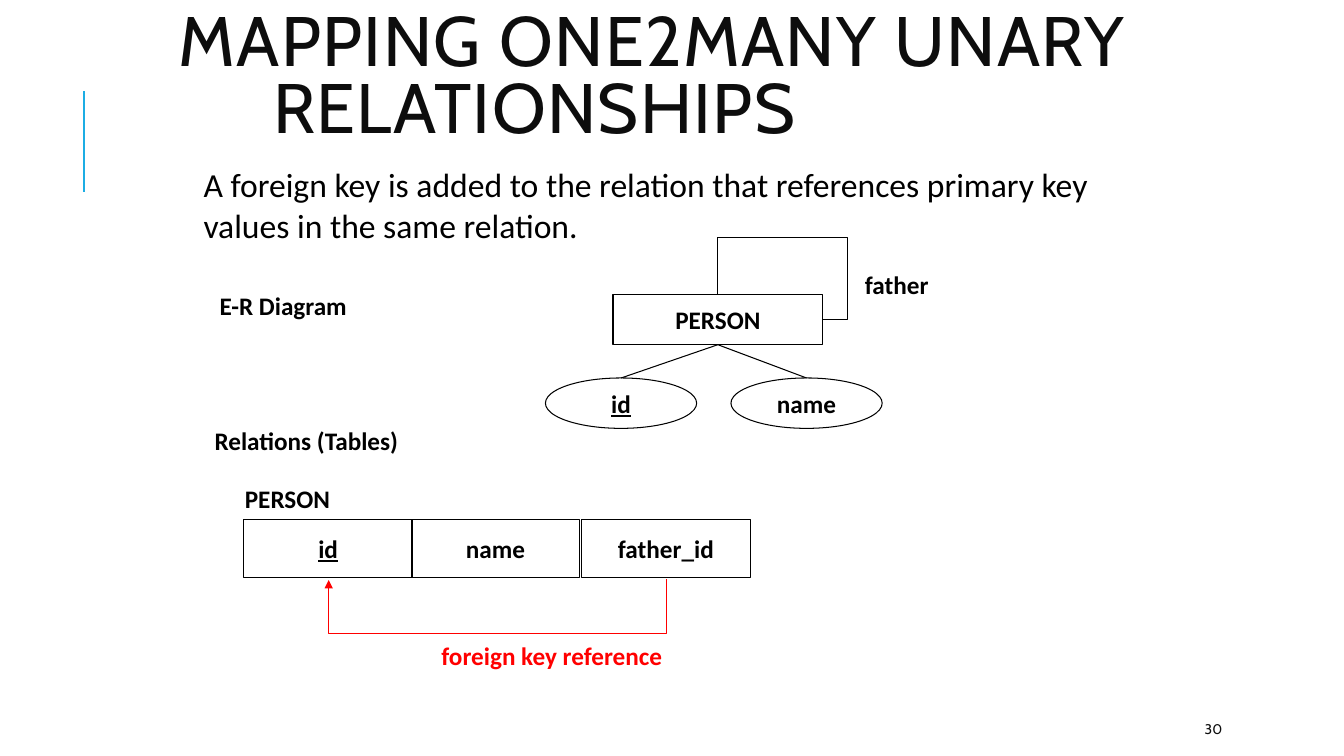
from lxml import etree
from pptx import Presentation
from pptx.dml.color import RGBColor
from pptx.enum import shapes, text
from pptx.oxml import ns
from pptx.util import Inches, Pt

COLORS = {"ink": "000000", "heading": "0D0D0D", "accent": "1CADE4", "reference": "FF0000"}


def rgb(name):
    return RGBColor.from_string(COLORS[name])


def add_run(paragraph, words, size=18, font="Calibri", color="ink", bold=False, underline=False):
    run = paragraph.add_run()
    run.text = words
    run.font.size = Pt(size)
    run.font.name = font
    run.font.color.rgb = rgb(color)
    run.font.bold = bold
    run.font.underline = underline
    return run


def add_label(slide, box, words, wrap=False, **style):
    frame = slide.shapes.add_textbox(*map(Inches, box)).text_frame
    frame.word_wrap = wrap
    frame.auto_size = text.MSO_AUTO_SIZE.SHAPE_TO_FIT_TEXT
    add_run(frame.paragraphs[0], words, **style)
    return frame


def add_node(slide, preset, box, words, underline=False):
    node = slide.shapes.add_shape(preset, *map(Inches, box))
    node.shadow.inherit = False
    node.fill.background()
    node.line.color.rgb = rgb("ink")
    node.line.width = Pt(0.75)
    frame = node.text_frame
    frame.word_wrap = False
    frame.vertical_anchor = text.MSO_ANCHOR.MIDDLE
    frame.paragraphs[0].alignment = text.PP_ALIGN.CENTER
    add_run(frame.paragraphs[0], words, bold=True, underline=underline)


def add_line(slide, start, end, color="ink", width=0.75, kind=shapes.MSO_CONNECTOR.STRAIGHT):
    line = slide.shapes.add_connector(kind, *map(Inches, (*start, *end)))
    line.line.color.rgb = rgb(color)
    line.line.width = Pt(width)
    etree.SubElement(line._element.spPr, ns.qn("a:effectLst"))
    return line


def add_elbow(slide, start, end, preset, bends, color="ink"):
    elbow = add_line(slide, start, end, color, kind=shapes.MSO_CONNECTOR.ELBOW)
    geometry = elbow._element.spPr.find(ns.qn("a:prstGeom"))
    geometry.set("prst", preset)
    guides = geometry.find(ns.qn("a:avLst"))
    for number, bend in enumerate(bends, 1):
        etree.SubElement(guides, ns.qn("a:gd"), name=f"adj{number}",
                         fmla=f"val {round(bend * 100000)}")
    return elbow


def build_heading(slide, box):
    left, top, width, height = box
    title = slide.shapes.title
    title.left, title.top, title.width, title.height = map(Inches, box)
    frame = title.text_frame
    frame.word_wrap = True
    frame.auto_size = text.MSO_AUTO_SIZE.NONE
    frame.vertical_anchor = text.MSO_ANCHOR.MIDDLE
    paragraph = frame.paragraphs[0]
    paragraph.alignment = text.PP_ALIGN.LEFT
    paragraph.line_spacing = 0.8
    paragraph.space_before = Pt(0)
    properties = paragraph._p.get_or_add_pPr()
    properties.set("marL", str(Inches(0.94)))
    properties.set("indent", str(-Inches(0.94)))
    run = add_run(paragraph, "MAPPING ONE2MANY UNARY RELATIONSHIPS", 50, "Cabin", "heading")
    run._r.get_or_add_rPr().set("spc", "100")
    add_line(slide, (left - 0.84, top + 1.73), (left - 0.84, top + 0.73), "accent", 1.5)
    add_label(slide, (left + 0.25, top + 1.41, 9.42, 0.91),
              "A foreign key is added to the relation that references primary key "
              "values in the same relation.", wrap=True, size=24)


def build_er_diagram(slide, box):
    left, top, width, height = box
    entity_width, entity_height = 2.08, 0.5
    entity_left, entity_top = left + 0.67, top + 0.57
    center = entity_left + entity_width / 2
    entity_bottom = entity_top + entity_height
    attribute_width, attribute_height = 1.5, 0.5
    attribute_top = top + height - attribute_height

    add_node(slide, shapes.MSO_SHAPE.RECTANGLE,
             (entity_left, entity_top, entity_width, entity_height), "PERSON")
    for words, attribute_left, is_key in (("id", left, True), ("name", left + 1.84, False)):
        add_node(slide, shapes.MSO_SHAPE.OVAL,
                 (attribute_left, attribute_top, attribute_width, attribute_height), words, is_key)
        add_line(slide, (center, entity_bottom),
                 (attribute_left + attribute_width / 2, attribute_top))
    add_elbow(slide, (entity_left + entity_width, entity_top + entity_height / 2),
              (center, entity_top), "bentConnector4", (-0.24, 3.25))
    add_label(slide, (left + 3.07, top + 0.27, 0.85, 0.4), "father", bold=True)


def build_relation(slide, box):
    left, top, width, height = box
    cell_width = 1.67
    columns = (("id", 0, True), ("name", 1.66, False), ("father_id", 3.35, False))
    add_label(slide, (left - 0.09, top - 0.4, 1.25, 0.4), "PERSON", bold=True)
    for words, offset, is_key in columns:
        add_node(slide, shapes.MSO_SHAPE.RECTANGLE,
                 (left + offset, top, cell_width, height), words, is_key)

    key_center = left + cell_width / 2
    foreign_center = left + columns[-1][1] + cell_width / 2
    middle = (key_center + foreign_center) / 2
    reach = (foreign_center - key_center) / 2
    level = top + height + 0.02
    reference = add_elbow(slide, (middle, level - reach), (middle + 0.01, level + reach),
                          "bentConnector3", (54.83,), "reference")
    reference.rotation = 90
    etree.SubElement(reference.line._get_or_add_ln(), ns.qn("a:tailEnd"), type="triangle")
    add_label(slide, (left + 1.86, top + 1.15, 2.47, 0.4), "foreign key reference",
              color="reference", bold=True)


def build_page_number(slide, box):
    frame = add_label(slide, box, "30", wrap=True, size=10, font="Cabin", color="heading")
    frame.auto_size = text.MSO_AUTO_SIZE.NONE
    frame.vertical_anchor = text.MSO_ANCHOR.MIDDLE


def main():
    deck = Presentation()
    deck.slide_width, deck.slide_height = Inches(13.33), Inches(7.5)
    slide = deck.slides.add_slide(deck.slide_layouts.get_by_name("Title Only"))
    build_heading(slide, (1.67, 0.17, 10, 1.25))
    add_label(slide, (2.08, 2.83, 1.66, 0.4), "E-R Diagram", bold=True)
    build_er_diagram(slide, (5.41, 2.35, 3.92, 1.9))
    add_label(slide, (2.03, 4.17, 2.14, 0.4), "Relations (Tables)", bold=True)
    build_relation(slide, (2.42, 5.15, 5.02, 0.58))
    build_page_number(slide, (11.85, 7.08, 1.06, 0.3))
    deck.save("out.pptx")


if __name__ == "__main__":
    main()
